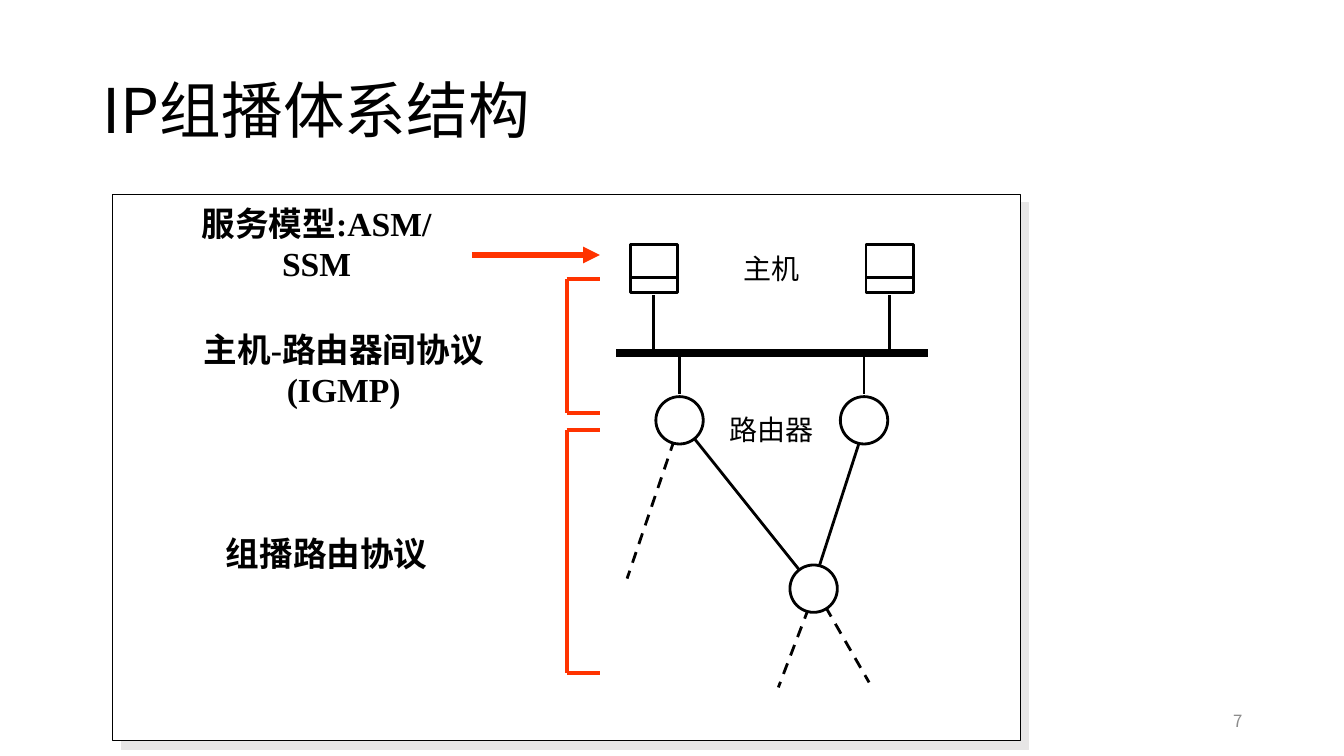
import lxml.etree
import pptx
import pptx.dml.color
import pptx.enum.dml
import pptx.enum.shapes
import pptx.enum.text
import pptx.oxml.ns
import pptx.util

Inches = pptx.util.Inches
Shape = pptx.enum.shapes.MSO_SHAPE
Align = pptx.enum.text.PP_ALIGN
Anchor = pptx.enum.text.MSO_ANCHOR

BLACK, WHITE, RED, GREY = "000000", "FFFFFF", "FF3300", "8C8C8C"
SANS, SERIF = "Noto Sans CJK SC", "Times New Roman"
NODE = 0.47


def color(value):
    return pptx.dml.color.RGBColor.from_string(value)


def add_xml(parent, tag, **attributes):
    name = pptx.oxml.ns.qn(tag)
    return lxml.etree.SubElement(parent, name, attributes)


def apply(target, values):
    for name, value in values.items():
        setattr(target, name, value)


class Page:
    """Holds the slide being built and the style of its elements."""

    def __init__(self, deck):
        self.slide = deck.slides.add_slide(deck.slide_layouts[5])
        self.shapes = self.slide.shapes

    def fill_text(self, box, text, size, font, ink=BLACK, bold=False,
                  align=Align.CENTER, spacing=None):
        para = box.text_frame.paragraphs[0]
        apply(para, {"alignment": align, "line_spacing": spacing})
        span = para.add_run()
        span.text = text
        apply(span.font, {"size": pptx.util.Pt(size), "name": font, "bold": bold})
        span.font.color.rgb = color(ink)
        add_xml(span.font._element, "a:ea", typeface=SANS)

    def title(self, text, left, top, width, height):
        box = self.shapes.title
        apply(box, {"left": Inches(left), "top": Inches(top),
                    "width": Inches(width), "height": Inches(height)})
        box.text_frame.vertical_anchor = Anchor.MIDDLE
        self.fill_text(box, text, 44, SANS, align=Align.LEFT, spacing=0.9)

    def label(self, text, left, top, width, height, size, font=SERIF,
              wrap=False, anchor=Anchor.TOP, **style):
        box = self.shapes.add_textbox(*map(Inches, (left, top, width, height)))
        apply(box.text_frame, {"word_wrap": wrap, "vertical_anchor": anchor})
        self.fill_text(box, text, size, font, **style)

    def shape(self, kind, left, top, width, height, weight=2):
        shape = self.shapes.add_shape(kind, *map(Inches, (left, top, width, height)))
        shape.shadow.inherit = False
        shape.fill.solid()
        shape.fill.fore_color.rgb = color(WHITE)
        shape.line.color.rgb = color(BLACK)
        shape.line.width = pptx.util.Pt(weight)
        return shape

    def panel(self, left, top, width, height):
        """White frame with a hard light shadow to the lower right."""
        frame = self.shape(Shape.RECTANGLE, left, top, width, height, 0.75)
        effects = frame._element.spPr.find(pptx.oxml.ns.qn("a:effectLst"))
        shadow = add_xml(effects, "a:outerShdw", blurRad="0",
                         dist=str(int(pptx.util.Pt(8.5))), dir="2700000",
                         algn="ctr", rotWithShape="0")
        add_xml(shadow, "a:srgbClr", val="E7E6E6")

    def line(self, x1, y1, x2, y2, ink=BLACK, weight=2, dashed=False, arrow=False):
        straight = pptx.enum.shapes.MSO_CONNECTOR.STRAIGHT
        line = self.shapes.add_connector(straight, *map(Inches, (x1, y1, x2, y2)))
        line.line.color.rgb = color(ink)
        line.line.width = pptx.util.Pt(weight)
        if dashed:
            line.line.dash_style = pptx.enum.dml.MSO_LINE.DASH
        if arrow:
            outline = line._element.spPr.find(pptx.oxml.ns.qn("a:ln"))
            add_xml(outline, "a:tailEnd", type="triangle")
        add_xml(line._element.spPr, "a:effectLst")

    def host(self, left, top=2.43):
        """Computer with its drop line down to the shared network."""
        self.shape(Shape.RECTANGLE, left, top, NODE, NODE)
        self.line(left, top + 0.32, left + NODE, top + 0.32)
        middle = left + NODE / 2
        self.line(middle, top + 0.5, middle, 3.49)

    def router(self, x, y):
        self.shape(Shape.OVAL, x - NODE / 2, y - NODE / 2, NODE, NODE)

    def bracket(self, top, bottom, left=5.62, right=5.95):
        self.line(left, top, left, bottom, RED, 3)
        for y in (top, bottom):
            self.line(left, y, right, y, RED, 3)


def main():
    deck = pptx.Presentation()
    deck.slide_width, deck.slide_height = Inches(13.33), Inches(7.5)
    page = Page(deck)
    page.title("IP组播体系结构", 0.92, 0.4, 11.5, 1.45)
    page.label("7", 9.42, 6.95, 3, 0.4, 12, SANS, wrap=True,
               anchor=Anchor.MIDDLE, ink=GREY, align=Align.RIGHT)
    page.panel(1.12, 1.93, 9, 5.42)

    for left in (6.25, 8.59):
        page.host(left)
    page.line(6.11, 3.5, 9.2, 3.5, weight=6)
    for x in (6.74, 8.57):
        page.line(x, 3.52, x, 3.91)
    page.label("主机", 7.27, 2.45, 0.76, 0.43, 20)
    page.label("路由器", 7.13, 4.04, 1.04, 0.43, 20)

    for x in (6.75, 8.59):
        page.line(x, 4.18, 8.06, 5.82)
    for ends in ((6.75, 4.18, 6.22, 5.74),
                 (8.09, 5.85, 7.72, 6.82),
                 (8.09, 5.85, 8.62, 6.77)):
        page.line(*ends, dashed=True)
    for center in ((6.74, 4.17), (8.57, 4.17), (8.07, 5.84)):
        page.router(*center)

    for text, left, top, width, height in (
            ("服务模型:ASM/SSM", 1.64, 1.96, 3, 0.9),
            ("主机-路由器间协议 (IGMP)", 1.51, 3.21, 3.8, 0.9),
            ("组播路由协议", 1.94, 5.24, 2.6, 0.5)):
        page.label(text, left, top, width, height, 24, wrap=True, bold=True)
    page.line(4.68, 2.53, 5.95, 2.53, RED, 4, arrow=True)
    page.bracket(2.77, 4.1)
    page.bracket(4.27, 6.68)
    deck.save("out.pptx")


if __name__ == "__main__":
    main()
